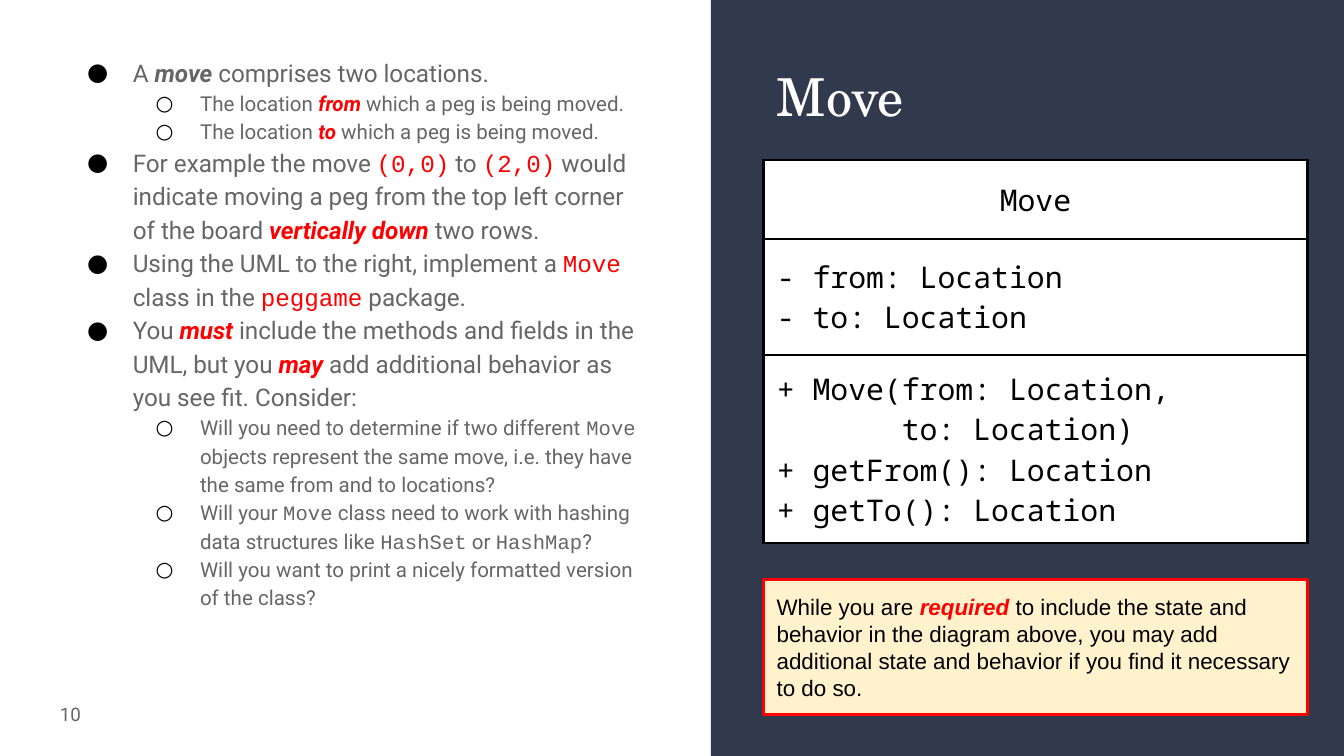
from dataclasses import dataclass

from lxml.etree import SubElement
from pptx import Presentation
from pptx.dml.color import RGBColor
from pptx.enum.shapes import MSO_SHAPE as SHAPE
from pptx.enum.text import MSO_ANCHOR as ANCHOR, MSO_AUTO_SIZE as AUTO, PP_ALIGN as ALIGN
from pptx.oxml.ns import qn
from pptx.util import Inches, Pt


@dataclass(frozen=True)
class Theme:
    navy: str = "31394D"
    white: str = "FFFFFF"
    black: str = "000000"
    grey: str = "666666"
    red: str = "FF0000"
    cream: str = "FFF2CC"
    heading: str = "TeX Gyre Schola"
    body: str = "Roboto"
    code: str = "Courier New"
    uml: str = "Noto Sans Mono"
    note: str = "Arial"
    title_size: float = 28
    uml_size: float = 16
    point_size: float = 13
    note_size: float = 12
    subpoint_size: float = 11
    number_size: float = 10
    border: float = 1.5


T = Theme()
WIDTH, HEIGHT = 10, 10 * 9 / 16
STRONG = dict(bold=True, italic=True)
ALERT = dict(color=T.red, **STRONG)
CODE = dict(font=T.code)
RED_CODE = dict(font=T.code, color=T.red)

# Each point is its level, then its runs: plain text or (text, format).
POINTS = [
    (0, "A ", ("move", STRONG), " comprises two locations."),
    (1, "The location ", ("from ", ALERT), "which a peg is being moved."),
    (1, "The location ", ("to ", ALERT), "which a peg is being moved."),
    (0, "For example the move ", ("(0,0)", RED_CODE), " to ", ("(2,0)", RED_CODE),
     " would indicate moving a peg from the top left corner of the board ",
     ("vertically down ", ALERT), "two rows."),
    (0, "Using the UML to the right, implement a ", ("Move", RED_CODE),
     " class in the ", ("peggame", RED_CODE), " package."),
    (0, "You ", ("must ", ALERT),
     "include the methods and fields in the UML, but you ", ("may ", ALERT),
     "add additional behavior as you see fit. Consider:"),
    (1, "Will you need to determine if two different ", ("Move", CODE),
     " objects represent the same move, i.e. they have the same from and to locations?"),
    (1, "Will your ", ("Move", CODE),
     " class need to work with hashing data structures like ",
     ("HashSet", CODE), " or ", ("HashMap", CODE), "?"),
    (1, "Will you want to print a nicely formatted version of the class?"),
]
NOTE = ["While you are ", ("required ", ALERT),
        "to include the state and behavior in the diagram above, you may add "
        "additional state and behavior if you find it necessary to do so."]

# Each compartment of the class diagram: height, alignment, (line, indent).
UML = [
    (0.59, ALIGN.CENTER, [("Move", 0)]),
    (0.86, ALIGN.LEFT, [("- from: Location", 0), ("- to: Location", 0)]),
    (1.4, ALIGN.LEFT, [("+ Move(from: Location,", 0), ("to: Location)", 0.93),
                       ("+ getFrom(): Location", 0), ("+ getTo(): Location", 0)]),
]


def box(left, top, width, height):
    return [Inches(v) for v in (left, top, width, height)]


def rgb(color):
    return RGBColor.from_string(color)


def add_run(p, text, size, font=T.body, color=T.grey, bold=False, italic=False):
    r = p.add_run()
    r.text = text
    f = r.font
    f.size, f.name, f.bold, f.italic = Pt(size), font, bold, italic
    f.color.rgb = rgb(color)


def add_runs(p, runs, **base):
    for run in runs:
        text, style = (run, {}) if isinstance(run, str) else run
        add_run(p, text, **{**base, **style})


def paragraphs(tf, items):
    """Yield a paragraph for each item, starting with the one already there."""
    for i, item in enumerate(items):
        yield (tf.add_paragraph() if i else tf.paragraphs[0]), item


def set_frame(tf, anchor=ANCHOR.TOP):
    tf.word_wrap = True
    tf.vertical_anchor = anchor
    tf.margin_left = tf.margin_right = tf.margin_top = tf.margin_bottom = Inches(0.1)
    return tf


def set_indent(p, left, first=0):
    pPr = p._p.get_or_add_pPr()
    pPr.set("marL", str(Inches(left)))
    pPr.set("indent", str(Inches(first)))
    return pPr


def set_bullet(p, char, left, first):
    pPr = set_indent(p, left, first)
    SubElement(SubElement(pPr, qn("a:buClr")), qn("a:srgbClr"), val=T.black)
    SubElement(pPr, qn("a:buFont"), typeface=T.body)
    SubElement(pPr, qn("a:buChar"), char=char)


def set_borders(cell):
    tcPr = cell._tc.get_or_add_tcPr()
    for side in "LRTB":
        ln = SubElement(tcPr, qn(f"a:ln{side}"), w=str(Pt(T.border)))
        SubElement(SubElement(ln, qn("a:solidFill")), qn("a:srgbClr"), val=T.black)


def add_rect(s, bounds, fill, line=None):
    sp = s.shapes.add_shape(SHAPE.RECTANGLE, *bounds)
    sp.shadow.inherit = False
    sp.fill.solid()
    sp.fill.fore_color.rgb = rgb(fill)
    if line:
        sp.line.color.rgb = rgb(line)
        sp.line.width = Pt(T.border)
    else:
        sp.line.fill.background()
    return sp


def set_title(s, bounds, text):
    sp = s.shapes.title
    sp.left, sp.top, sp.width, sp.height = bounds
    p = set_frame(sp.text_frame).paragraphs[0]
    p.alignment = ALIGN.LEFT
    add_run(p, text, T.title_size, T.heading, T.white)


def add_points(s, bounds):
    tf = set_frame(s.shapes.add_textbox(*bounds).text_frame)
    for p, (level, *runs) in paragraphs(tf, POINTS):
        p.level = level
        p.line_spacing = 1.15
        if level:
            set_bullet(p, "○", 1, -0.33)
        else:
            set_bullet(p, "●", 0.5, -0.34)
        add_runs(p, runs, size=T.subpoint_size if level else T.point_size)


def add_class_diagram(s, left, top, width):
    height = sum(h for h, *_ in UML)
    table = s.shapes.add_table(len(UML), 1, *box(left, top, width, height)).table
    table.first_row = table.horz_banding = False
    for i, (row_height, align, lines) in enumerate(UML):
        table.rows[i].height = Inches(row_height)
        cell = table.cell(i, 0)
        set_borders(cell)
        cell.fill.solid()
        cell.fill.fore_color.rgb = rgb(T.white)
        cell.vertical_anchor = ANCHOR.MIDDLE
        cell.margin_left = cell.margin_right = Inches(0.1)
        cell.margin_top = cell.margin_bottom = Inches(0.1)
        for p, (text, indent) in paragraphs(cell.text_frame, lines):
            p.alignment = align
            set_indent(p, indent)
            add_run(p, text, T.uml_size, T.uml, T.black)


def add_note(s, bounds):
    sp = add_rect(s, bounds, T.cream, T.red)
    tf = set_frame(sp.text_frame, ANCHOR.MIDDLE)
    tf.auto_size = AUTO.SHAPE_TO_FIT_TEXT
    p = tf.paragraphs[0]
    p.alignment = ALIGN.LEFT
    add_runs(p, NOTE, size=T.note_size, font=T.note, color=T.black)


def add_page_number(s, bounds, number):
    tf = set_frame(s.shapes.add_textbox(*bounds).text_frame, ANCHOR.MIDDLE)
    tf.paragraphs[0].alignment = ALIGN.RIGHT
    add_run(tf.paragraphs[0], number, T.number_size)


def main():
    prs = Presentation()
    prs.slide_width, prs.slide_height = Inches(WIDTH), Inches(HEIGHT)
    s = prs.slides.add_slide(prs.slide_layouts[5])
    left, width = 5.68, 4.05

    panel = add_rect(s, box(5.29, 0, WIDTH - 5.29, HEIGHT), T.navy)
    s.shapes.title._element.addprevious(panel._element)
    set_title(s, box(left, 0.38, width, 0.7), "Move")
    add_points(s, box(0.39, 0.3, 4.54, 4.85))
    add_page_number(s, box(0.1, 5.1, 0.6, 0.43), "10")
    add_note(s, box(left, 4.31, width, 1.01))
    add_class_diagram(s, left, 1.19, width)
    prs.save("out.pptx")


if __name__ == "__main__":
    main()
